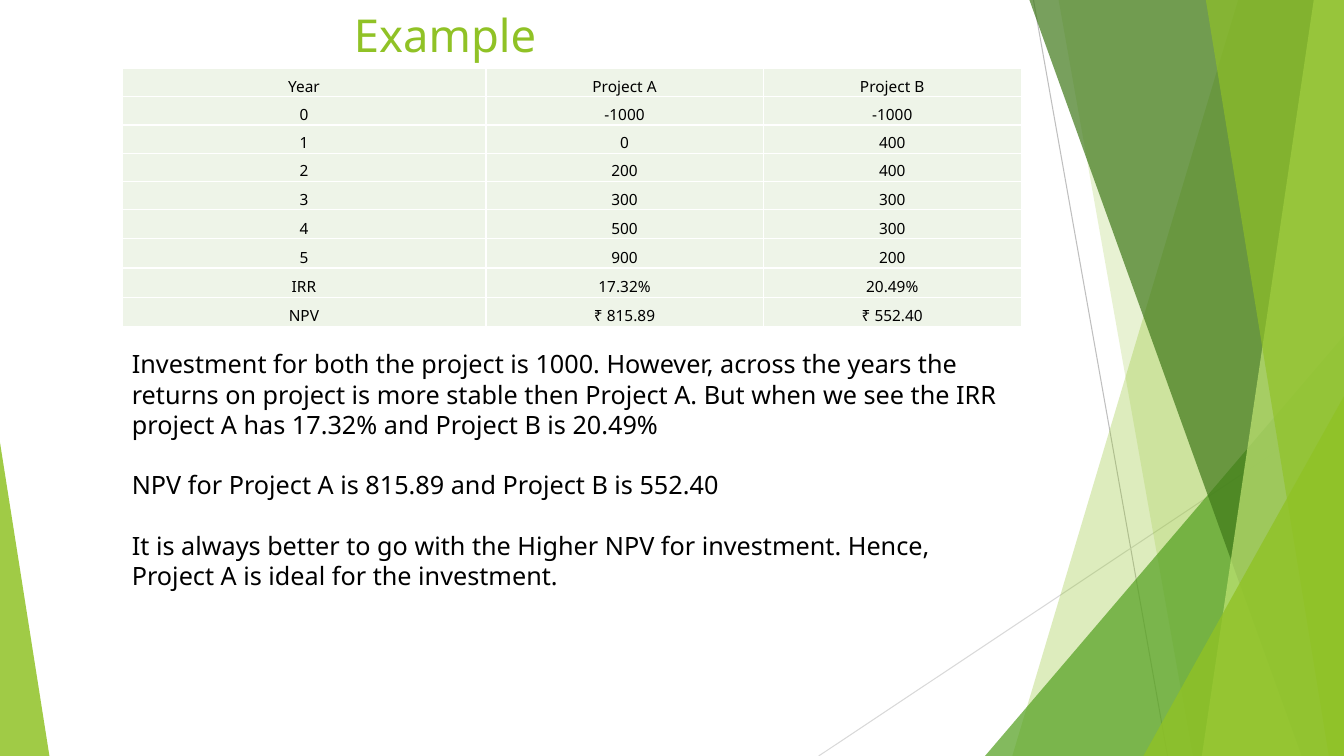
from lxml import etree
from pptx import Presentation
from pptx.dml.color import RGBColor
from pptx.enum.shapes import MSO_CONNECTOR, MSO_SHAPE
from pptx.enum.text import MSO_ANCHOR, PP_ALIGN
from pptx.oxml import parse_xml
from pptx.oxml.ns import nsdecls, qn
from pptx.util import Inches, Pt

STRAIGHT = MSO_CONNECTOR.STRAIGHT
TRIANGLE = MSO_SHAPE.ISOSCELES_TRIANGLE
MIDDLE, BOTTOM = MSO_ANCHOR.MIDDLE, MSO_ANCHOR.BOTTOM
LEFT, CENTER = PP_ALIGN.LEFT, PP_ALIGN.CENTER
WIDTH, HEIGHT = 13.33, 7.5
FONT = "Noto Sans"
COLORS = {
    "lime": "90C226", "green": "54A021", "forest": "3F7819", "pale": "C0E474",
    "cell": "EEF4E8", "white": "FFFFFF", "black": "000000",
    "gray": "BFBFBF", "silver": "D9D9D9",
}
CASH_FLOWS = [
    ("Year", "Project A", "Project B"),
    ("0", "-1000", "-1000"),
    ("1", "0", "400"),
    ("2", "200", "400"),
    ("3", "300", "300"),
    ("4", "500", "300"),
    ("5", "900", "200"),
    ("IRR", "17.32%", "20.49%"),
    ("NPV", "₹ 815.89", "₹ 552.40"),
]
COLUMN_WIDTHS = (3.61, 2.75, 2.56)
ROW_HEIGHTS = [0.28] * 5 + [0.29] * 4
CONCLUSIONS = [
    "Investment for both the project is 1000. However, across the years the returns "
    "on project is more stable then Project A. But when we see the IRR project A has "
    "17.32% and Project B is 20.49%",
    "NPV for Project A is 815.89 and Project B is 552.40",
    "It is always better to go with the Higher NPV for investment. Hence, Project A "
    "is ideal for the investment.",
]


class SlideBuilder:
    """Draws styled elements on the current slide."""

    def __init__(self, slide):
        self.slide = slide
        self.shapes = slide.shapes

    def color(self, name):
        return RGBColor.from_string(COLORS[name])

    def format_text(self, paragraph, size, color, align):
        paragraph.alignment = align
        for span in paragraph.runs:
            span.font.name = FONT
            span.font.size = Pt(size)
            span.font.color.rgb = self.color(color)

    def paint(self, shape, color, opacity):
        shape.shadow.inherit = False
        shape.line.fill.background()
        shape.fill.solid()
        shape.fill.fore_color.rgb = self.color(color)
        tint = shape.fill._xPr.find(qn("a:solidFill"))[0]
        etree.SubElement(tint, qn("a:alpha")).set("val", str(opacity * 1000))

    def line(self, start, end, color):
        points = [Inches(value) for value in (*start, *end)]
        connector = self.shapes.add_connector(STRAIGHT, *points)
        connector.line.color.rgb = self.color(color)
        connector.line.width = Pt(0.75)
        etree.SubElement(connector._element.spPr, qn("a:effectLst"))

    def ribbon(self, top, bottom, color, opacity):
        corners = [(top, 0), (WIDTH, 0), (WIDTH, HEIGHT), (bottom, HEIGHT)]
        points = [(Inches(x), Inches(y)) for x, y in corners]
        builder = self.shapes.build_freeform(*points[0])
        builder.add_line_segments(points[1:], close=True)
        self.paint(builder.convert_to_shape(), color, opacity)

    def triangle(self, left, width, height, apex, color, opacity):
        shape = self.shapes.add_shape(
            TRIANGLE, Inches(left), Inches(HEIGHT - height), Inches(width), Inches(height))
        shape.adjustments[0] = apex
        self.paint(shape, color, opacity)

    def title(self, text):
        title = self.shapes.title
        title.left, title.top = Inches(0.74), Inches(0)
        title.width, title.height = Inches(9.4), Inches(0.68)
        frame = title.text_frame
        frame.text = text
        frame.margin_left = Inches(2.77)
        frame.vertical_anchor = MIDDLE
        self.format_text(frame.paragraphs[0], 32.4, "lime", LEFT)

    def cell(self, cell, text):
        cell.text = text
        cell.vertical_anchor = BOTTOM
        cell.margin_left = cell.margin_right = cell.margin_top = Inches(0.01)
        cell.margin_bottom = 0
        self.format_text(cell.text_frame.paragraphs[0], 11, "black", CENTER)
        properties = cell._tc.get_or_add_tcPr()
        for side in ("lnL", "lnR", "lnT", "lnB"):
            properties.append(parse_xml(
                f'<a:{side} {nsdecls("a")} w="{Pt(1)}"><a:solidFill>'
                f'<a:srgbClr val="{COLORS["white"]}"/></a:solidFill></a:{side}>'))
        cell.fill.solid()
        cell.fill.fore_color.rgb = self.color("cell")

    def table(self, rows, left, top):
        frame = self.shapes.add_table(
            len(rows), len(COLUMN_WIDTHS), Inches(left), Inches(top),
            Inches(sum(COLUMN_WIDTHS)), Inches(sum(ROW_HEIGHTS)))
        table = frame.table
        for column, width in zip(table.columns, COLUMN_WIDTHS):
            column.width = Inches(width)
        for row, height, values in zip(table.rows, ROW_HEIGHTS, rows):
            row.height = Inches(height)
            for cell, text in zip(row.cells, values):
                self.cell(cell, text)

    def body(self, texts, left, top, width, height):
        box = self.shapes.add_textbox(
            Inches(left), Inches(top), Inches(width), Inches(height))
        frame = box.text_frame
        frame.word_wrap = True
        frame.text = "\n".join(texts)
        for para in frame.paragraphs:
            para.line_spacing = Pt(21.6)
            para.space_after = Pt(21.6)
            self.format_text(para, 18, "black", LEFT)


def main():
    deck = Presentation()
    deck.slide_width, deck.slide_height = Inches(WIDTH), Inches(HEIGHT)
    page = SlideBuilder(deck.slides.add_slide(deck.slide_layouts[5]))

    page.line((10.25, 0), (11.58, HEIGHT), "gray")
    page.line((WIDTH, 4.03), (8.12, HEIGHT), "silver")
    page.ribbon(12.28, 10.04, "lime", 30)
    page.ribbon(10.5, 11.83, "lime", 20)
    page.triangle(9.77, 3.56, 4.17, 1, "green", 72)
    page.ribbon(10.21, 12.91, "forest", 70)
    page.ribbon(13.03, 11.92, "pale", 70)
    page.ribbon(11.96, 13.18, "lime", 65)
    page.triangle(11.34, 1.99, 3.57, 1, "lime", 80)
    page.triangle(0, 0.49, 3.11, 0, "lime", 85)

    page.title("Example")
    page.table(CASH_FLOWS, 1.21, 0.68)
    page.body(CONCLUSIONS, 1.21, 3.41, 8.93, 2.52)
    deck.save("out.pptx")


if __name__ == "__main__":
    main()
